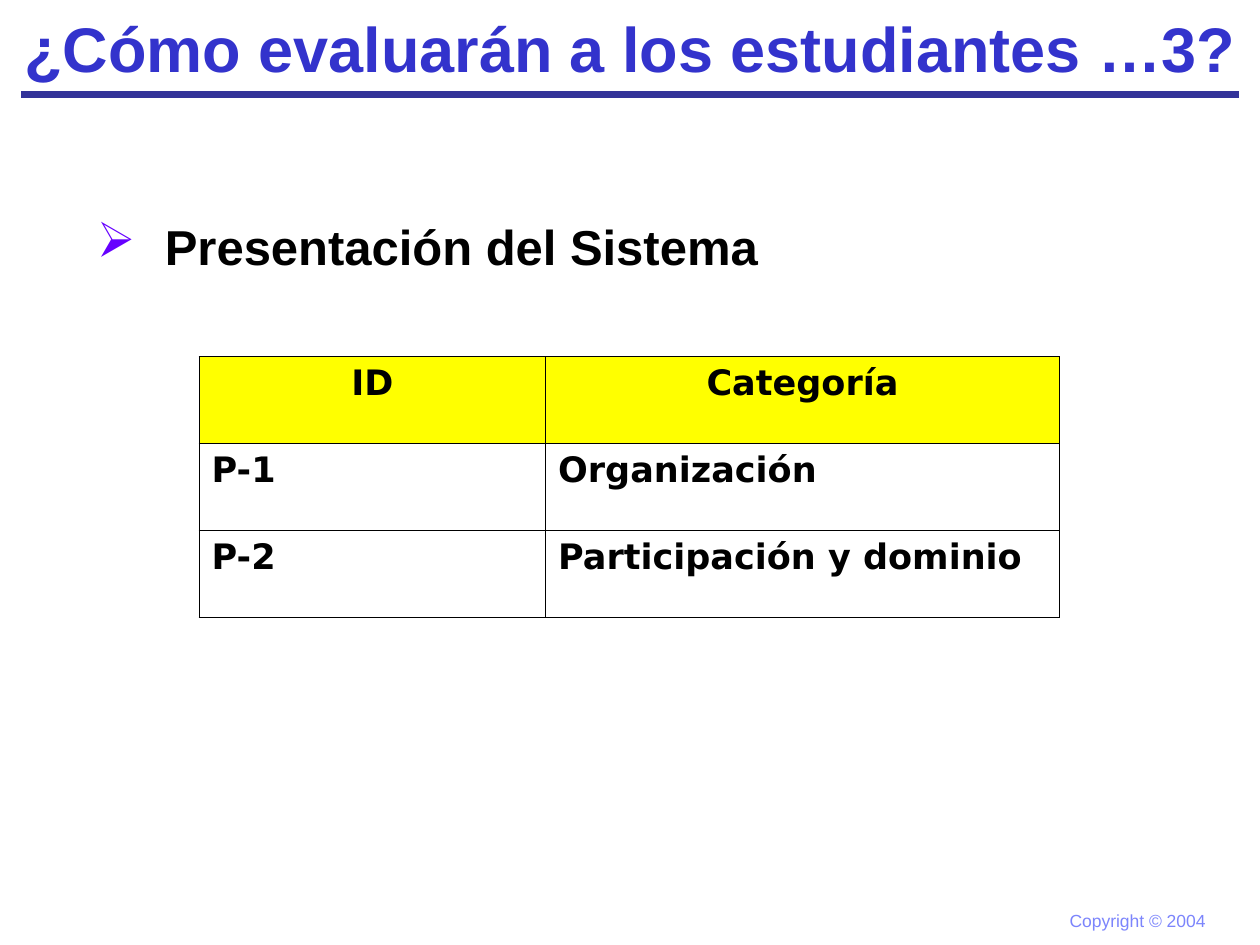
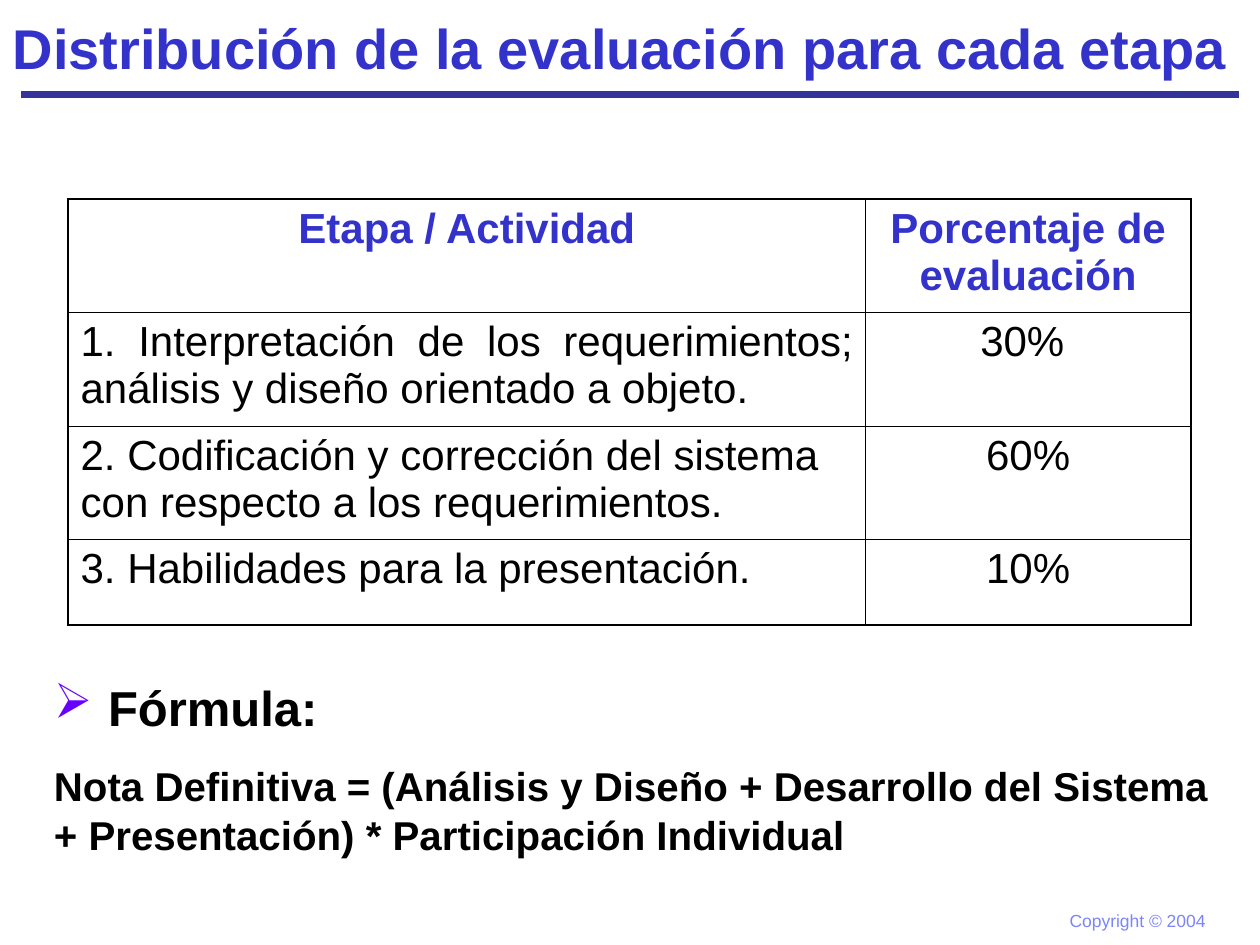
from dataclasses import dataclass

from lxml.etree import SubElement
from pptx import Presentation
from pptx.dml.color import RGBColor
from pptx.enum.shapes import MSO_CONNECTOR
from pptx.enum.text import MSO_ANCHOR, MSO_AUTO_SIZE as AutoSize, PP_ALIGN as Align
from pptx.oxml.ns import qn
from pptx.slide import Slide
from pptx.util import Emu, Pt

PX = 9144  # EMU per px, 100 px to the inch
COLORS = {
    "title": "3333CC",
    "rule": "333399",
    "footer": "7C85FC",
    "bullet": "6600FF",
    "text": "000000",
    "header_fill": "FFFF00",
}
SANS = "Arial"
TABLE_SANS = "DejaVu Sans"
INNER_LINE = 0.45


@dataclass(frozen=True)
class Style:
    size: float
    color: str = "text"
    bold: bool = False
    font: str = SANS
    align: Align = Align.LEFT


@dataclass(frozen=True)
class Line:
    text: str
    style: Style
    hanging: int = 0  # px between arrow bullet and text; 0 means no bullet
    space_before: float = 0


@dataclass(frozen=True)
class Cell:
    text: str
    style: Style
    fill: str | None = None


@dataclass(frozen=True)
class Grid:
    left: int
    top: int
    columns: list[int]
    rows: list[int]
    cells: list[list[Cell]]
    outer_line: float = INNER_LINE


def px(length: int) -> Emu:
    return Emu(length * PX)


def rgb(name: str) -> RGBColor:
    return RGBColor.from_string(COLORS[name])


def format_paragraph(paragraph, text: str, style: Style) -> None:
    paragraph.text = text
    paragraph.alignment = style.align
    for run in paragraph.runs:
        run.font.name = style.font
        run.font.size = Pt(style.size)
        run.font.bold = style.bold
        run.font.color.rgb = rgb(style.color)


def add_arrow_bullet(paragraph, hanging: int) -> None:
    properties = paragraph._p.get_or_add_pPr()
    properties.set("marL", str(px(hanging)))
    properties.set("indent", str(-px(hanging)))
    color = SubElement(properties, qn("a:buClr"))
    SubElement(color, qn("a:srgbClr"), val=COLORS["bullet"])
    SubElement(properties, qn("a:buChar"), char="➢")


def add_text(slide: Slide, left: int, top: int, width: int, height: int,
             lines: list[Line], wrap: bool = True) -> None:
    box = slide.shapes.add_textbox(px(left), px(top), px(width), px(height))
    frame = box.text_frame
    frame.word_wrap = wrap
    frame.auto_size = AutoSize.SHAPE_TO_FIT_TEXT
    for index, line in enumerate(lines):
        paragraph = frame.add_paragraph() if index else frame.paragraphs[0]
        if line.hanging:
            add_arrow_bullet(paragraph, line.hanging)
        paragraph.space_before = Pt(line.space_before)
        format_paragraph(paragraph, line.text, line.style)


def set_borders(cell, widths: dict[str, float]) -> None:
    properties = cell._tc.get_or_add_tcPr()
    for side, width in widths.items():
        line = SubElement(properties, qn(f"a:ln{side}"), w=str(Pt(width)))
        fill = SubElement(line, qn("a:solidFill"))
        SubElement(fill, qn("a:srgbClr"), val=COLORS["text"])


def add_grid(slide: Slide, grid: Grid) -> None:
    table = slide.shapes.add_table(
        len(grid.rows), len(grid.columns), px(grid.left), px(grid.top),
        px(sum(grid.columns)), px(sum(grid.rows))).table
    table.first_row = table.horz_banding = False
    for column, width in zip(table.columns, grid.columns):
        column.width = px(width)
    for row, height in zip(table.rows, grid.rows):
        row.height = px(height)

    last_row, last_column = len(grid.rows) - 1, len(grid.columns) - 1
    for r, row_cells in enumerate(grid.cells):
        for c, content in enumerate(row_cells):
            cell = table.cell(r, c)
            on_edge = {"L": c == 0, "R": c == last_column,
                       "T": r == 0, "B": r == last_row}
            set_borders(cell, {side: grid.outer_line if edge else INNER_LINE
                               for side, edge in on_edge.items()})
            if content.fill:
                cell.fill.solid()
                cell.fill.fore_color.rgb = rgb(content.fill)
            else:
                cell.fill.background()
            format_paragraph(cell.text_frame.paragraphs[0], content.text, content.style)


def add_titled_slide(presentation, title: str, style: Style) -> Slide:
    slide = presentation.slides.add_slide(presentation.slide_layouts[5])

    # Title
    shape = slide.shapes.title
    shape.left, shape.top, shape.width, shape.height = px(0), px(0), px(1000), px(75)
    frame = shape.text_frame
    frame.word_wrap = True
    frame.auto_size = AutoSize.NONE
    frame.vertical_anchor = MSO_ANCHOR.MIDDLE
    format_paragraph(frame.paragraphs[0], title, style)

    # Rule under the title
    rule = slide.shapes.add_connector(
        MSO_CONNECTOR.STRAIGHT, px(17), px(75), px(983), px(75))
    rule.line.color.rgb = rgb("rule")
    rule.line.width = Pt(4.5)
    SubElement(rule._element.spPr, qn("a:effectLst"))

    # Footer
    footer = Line("Copyright © 2004", Style(10, "footer"))
    add_text(slide, 839, 717, 128, 27, [footer], wrap=False)
    return slide


def build_system_presentation(presentation) -> None:
    slide = add_titled_slide(presentation, "¿Cómo evaluarán a los estudiantes …3?",
                             Style(36, "title", True, align=Align.CENTER))
    add_text(slide, 67, 167, 575, 57,
             [Line("Presentación del Sistema", Style(28, bold=True), hanging=54)])

    header = Style(20, bold=True, font=TABLE_SANS, align=Align.CENTER)
    body = Style(20, bold=True, font=TABLE_SANS, align=Align.JUSTIFY)
    categories = [("P-1", "Organización"), ("P-2", "Participación y dominio")]
    cells = [[Cell(text, header, "header_fill") for text in ("ID", "Categoría")]]
    cells += [[Cell(text, body) for text in category] for category in categories]
    add_grid(slide, Grid(158, 283, [275, 408], [69] * 3, cells))


def build_evaluation_split(presentation) -> None:
    slide = add_titled_slide(presentation, "Distribución de la evaluación para cada etapa",
                             Style(32, "title", True))

    # Stages and their weights
    header = Style(24, "title", True, align=Align.CENTER)
    left, justified, centred = (
        Style(24, align=align) for align in (Align.LEFT, Align.JUSTIFY, Align.CENTER))
    stages = [
        ("1. Interpretación de los requerimientos; análisis y diseño orientado a objeto.",
         justified, "30% "),
        ("2. Codificación y corrección del sistema con respecto a los requerimientos.",
         left, "60%"),
        ("3. Habilidades para la presentación.", left, "10%"),
    ]
    cells = [[Cell(text, header) for text in ("Etapa / Actividad", "Porcentaje de evaluación")]]
    cells += [[Cell(stage, style), Cell(weight, centred)] for stage, style, weight in stages]
    add_grid(slide, Grid(54, 158, [633, 258], [90, 90, 90, 68], cells, outer_line=1.08))

    # Formula
    add_text(slide, 33, 533, 950, 154, [
        Line("Fórmula:", Style(28, bold=True), hanging=43),
        Line("Nota Definitiva = (Análisis y Diseño + Desarrollo del Sistema "
             "+ Presentación) * Participación Individual",
             Style(23, bold=True), space_before=14.4),
    ])


def main() -> None:
    presentation = Presentation()
    presentation.slide_width, presentation.slide_height = px(1000), px(750)
    build_system_presentation(presentation)
    build_evaluation_split(presentation)
    presentation.save("out.pptx")


if __name__ == "__main__":
    main()
